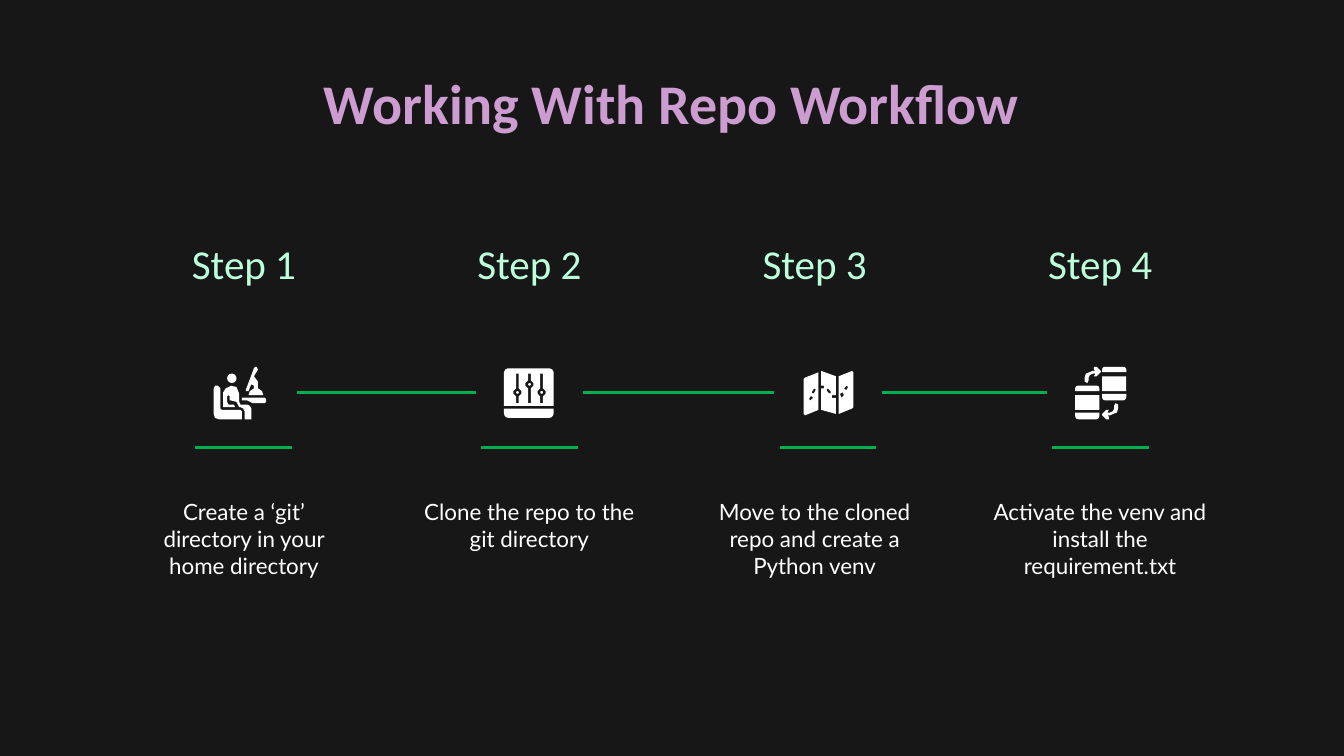
from lxml.etree import SubElement
from pptx import Presentation
from pptx.dml.color import RGBColor
from pptx.enum.shapes import MSO_CONNECTOR, MSO_SHAPE
from pptx.enum.text import MSO_ANCHOR, PP_ALIGN
from pptx.oxml.ns import qn
from pptx.util import Inches, Pt

BACKGROUND = RGBColor(0x17, 0x17, 0x17)
WHITE = RGBColor(0xFF, 0xFF, 0xFF)
GREEN = RGBColor(0x00, 0xB0, 0x50)
PINK = RGBColor(0xCD, 0x9C, 0xD0)
MINT = RGBColor(0xBC, 0xFF, 0xDB)
SKY = RGBColor(0x9C, 0xCA, 0xED)

TITLE_FONT = {"name": "Calibri", "size": Pt(30), "bold": True}
STEP_FONT = {"name": "Calibri", "size": Pt(22)}
BODY_FONT = {"name": "Lato", "size": Pt(12)}

STEPS = [
    "Create a ‘git’ directory in your home directory",
    "Clone the repo to the git directory",
    "Move to the cloned repo and create a Python venv",
    "Activate the venv and install the requirement.txt",
]
COLUMN_LEFT, COLUMN_SPAN, COLUMN_WIDTH = 0.92, 6.37, 1.79
UNDERLINE_LEFTS = [1.45, 3.58, 5.8, 7.83]
UNDERLINE_WIDTH, LINK_GAP = 0.72, 0.04
UNIT = Inches(0.01)  # icon outlines are given in hundredths of an inch

# Outlines of the desk icon
LAMP = [(31, 0), (30, 1), (24, 17), (24, 18), (26, 18), (28, 13), (30, 14), (30, 16),
        (27, 18), (26, 21), (37, 21), (36, 18), (33, 16), (33, 11), (30, 7), (33, 2), (32, 0)]
CHAIR = [(0, 16), (1, 14), (3, 14), (5, 16), (5, 31), (6, 32), (20, 32), (21, 33),
         (21, 39), (4, 39), (1, 38), (0, 35)]
BODY = [(13, 14), (9, 16), (7, 19), (7, 30), (16, 30), (15, 28), (11, 28), (10, 26),
        (10, 22), (11, 21), (12, 22), (12, 25), (13, 25), (17, 26), (19, 30), (20, 30),
        (22, 31), (23, 33), (23, 39), (28, 39), (28, 31), (27, 29), (25, 28), (20, 28),
        (19, 26), (19, 20), (17, 15)]
DESK = [(21, 23), (21, 25), (25, 25), (29, 27), (38, 27), (39, 26), (39, 24), (38, 23)]

# Outlines of the map icon: each fold is followed by its route marks
MAP_FOLDS = [
    [[(11, 1), (1, 5), (0, 6), (0, 32), (1, 33), (11, 29)],
     [(8, 13), (9, 14), (8, 16), (7, 17), (6, 16), (7, 14)],
     [(6, 19), (7, 20), (6, 21), (5, 22), (4, 21), (5, 19)]],
    [[(13, 0), (13, 11), (15, 11), (15, 13), (13, 13), (13, 29), (24, 32), (24, 20),
      (21, 20), (21, 18), (24, 18), (24, 4)],
     [(18, 13), (20, 15), (20, 17), (18, 16), (17, 14)]],
    [[(36, 0), (26, 4), (26, 32), (36, 28), (37, 27), (37, 1)],
     [(32, 11), (33, 12), (32, 14), (31, 14), (30, 13), (31, 12)],
     [(29, 16), (30, 18), (29, 19), (28, 20), (27, 17)]],
]

ARROW = [(30, 27), (29, 29), (29, 31), (28, 33), (26, 34), (24, 34), (25, 32), (23, 32),
         (20, 35), (20, 36), (23, 39), (25, 39), (25, 37), (24, 36), (26, 36), (31, 34),
         (32, 31), (32, 28)]


def add_text(slide, text, box, font_values, color, gradient_end=None, anchor=MSO_ANCHOR.TOP):
    shape = slide.shapes.add_textbox(*map(Inches, box))
    frame_values = {"word_wrap": True, "vertical_anchor": anchor}
    for side in ("left", "top", "right", "bottom"):
        frame_values[f"margin_{side}"] = Inches(0.1)
    for name, value in frame_values.items():
        setattr(shape.text_frame, name, value)
    paragraph = shape.text_frame.paragraphs[0]
    paragraph.alignment = PP_ALIGN.CENTER
    run = paragraph.add_run()
    run.text = text
    for name, value in font_values.items():
        setattr(run.font, name, value)
    if gradient_end is None:
        run.font.color.rgb = color
        return
    fill = run.font.fill
    fill.gradient()
    fill.gradient_angle = 0
    for stop, stop_color in zip(fill.gradient_stops, (color, gradient_end)):
        stop.color.rgb = stop_color


def add_line(slide, left, right, y):
    line = slide.shapes.add_connector(
        MSO_CONNECTOR.STRAIGHT, Inches(left), Inches(y), Inches(right), Inches(y))
    line.line.color.rgb = GREEN
    line.line.width = Pt(1.5)
    SubElement(line._element.spPr, qn("a:effectLst"))


def paint_white(shape):
    shape.shadow.inherit = False
    shape.fill.solid()
    shape.fill.fore_color.rgb = WHITE
    shape.line.fill.background()


def add_outline(group, origin, *contours):
    """Fill the first contour; the others are holes in it."""
    builder = group.shapes.build_freeform(*contours[0][0], scale=UNIT)
    builder.add_line_segments(contours[0][1:], close=True)
    for hole in contours[1:]:
        builder.move_to(*hole[0])
        builder.add_line_segments(hole[1:], close=True)
    paint_white(builder.convert_to_shape(*map(Inches, origin)))


def add_preset(group, origin, kind, x, y, width, height):
    left, top = map(Inches, origin)
    shape = group.shapes.add_shape(
        kind, left + x * UNIT, top + y * UNIT, width * UNIT, height * UNIT)
    paint_white(shape)
    return shape


def add_cap(group, origin, x, y, width, height, bottom=False):
    shape = add_preset(group, origin, MSO_SHAPE.ROUND_2_SAME_RECTANGLE, x, y, width, height)
    for index, roundness in enumerate((0, 0.5) if bottom else (0.5, 0)):
        shape.adjustments[index] = roundness


def draw_desk(group, origin):
    for contour in (LAMP, CHAIR, BODY, DESK):
        add_outline(group, origin, contour)
    add_preset(group, origin, MSO_SHAPE.OVAL, 10, 5, 7, 7)


def slider_hole(x, knob):
    right = [(1, 4), (1, knob - 3), (3, knob - 1), (3, knob + 1), (1, knob + 3), (1, 26)]
    return [(x + dx, y) for dx, y in right] + [(x - dx, y) for dx, y in reversed(right)]


def draw_sliders(group, origin):
    sliders = [(10, 18), (19, 12), (28, 18)]
    panel = [(0, 28), (0, 3), (1, 1), (3, 0), (34, 0), (36, 1), (37, 3), (37, 28)]
    add_outline(group, origin, panel, *(slider_hole(x, knob) for x, knob in sliders))
    for x, knob in sliders:
        add_preset(group, origin, MSO_SHAPE.OVAL, x - 1, knob - 1, 2, 2)
    add_cap(group, origin, 0, 30, 37, 7, bottom=True)


def draw_map(group, origin):
    for contours in MAP_FOLDS:
        add_outline(group, origin, *contours)


def draw_barrels(group, origin):
    for x, y in ((0, 14), (20, 0)):
        add_cap(group, origin, x, y, 18, 4)
        add_preset(group, origin, MSO_SHAPE.RECTANGLE, x, y + 7, 18, 11)
        add_cap(group, origin, x, y + 20, 18, 5, bottom=True)
    add_outline(group, origin, ARROW)
    add_outline(group, origin, [(39 - x, 39 - y) for x, y in ARROW])


def main():
    presentation = Presentation()
    presentation.slide_width = Inches(10)
    presentation.slide_height = Inches(10) * 9 // 16
    slide = presentation.slides.add_slide(presentation.slide_layouts[6])
    slide.background.fill.solid()
    slide.background.fill.fore_color.rgb = BACKGROUND

    # Title
    add_text(slide, "Working With Repo Workflow", (0.78, 0.41, 8.43, 0.63),
             TITLE_FONT, PINK, SKY)

    # Step columns
    for index, description in enumerate(STEPS):
        left = COLUMN_LEFT + COLUMN_SPAN * index / (len(STEPS) - 1)
        add_text(slide, f"Step {index + 1}", (left, 1.72, COLUMN_WIDTH, 0.52),
                 STEP_FONT, MINT, SKY, MSO_ANCHOR.BOTTOM)
        add_text(slide, description, (left, 3.61, COLUMN_WIDTH, 0.89), BODY_FONT, WHITE)

    # Underlines, and links between neighbouring icons
    for left in UNDERLINE_LEFTS:
        add_line(slide, left, left + UNDERLINE_WIDTH, 3.33)
    for left, following in zip(UNDERLINE_LEFTS, UNDERLINE_LEFTS[1:]):
        add_line(slide, left + UNDERLINE_WIDTH + LINK_GAP, following - LINK_GAP, 2.92)

    # Icons
    for draw, origin in ((draw_desk, (1.59, 2.73)), (draw_sliders, (3.75, 2.74)),
                         (draw_map, (5.98, 2.76)), (draw_barrels, (8, 2.73))):
        draw(slide.shapes.add_group_shape(), origin)

    presentation.save("out.pptx")


if __name__ == "__main__":
    main()
